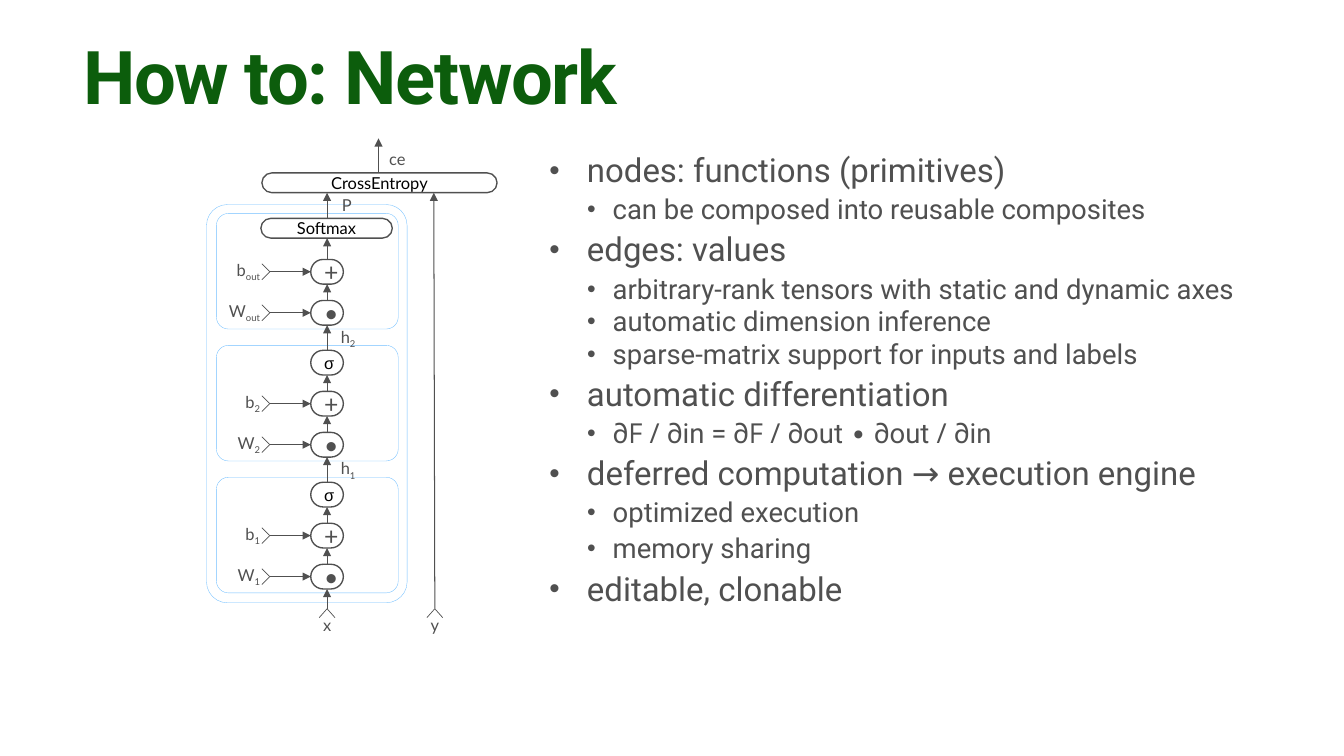
import pptx
import pptx.util
import pptx.dml.color
import pptx.enum.shapes
import pptx.enum.text
import pptx.oxml.ns
import lxml.etree

Inches = pptx.util.Inches
Pt = pptx.util.Pt
Align = pptx.enum.text.PP_ALIGN
Anchor = pptx.enum.text.MSO_ANCHOR
qn = pptx.oxml.ns.qn

GREEN = pptx.dml.color.RGBColor(0x0C, 0x5D, 0x0C)
GRAY = pptx.dml.color.RGBColor(0x50, 0x50, 0x50)
BLUE = pptx.dml.color.RGBColor(0x72, 0xC0, 0xFF)
BLACK = pptx.dml.color.RGBColor(0, 0, 0)
WHITE = pptx.dml.color.RGBColor(255, 255, 255)

deck = pptx.Presentation()
deck.slide_width = Inches(13.6)
deck.slide_height = Inches(7.65)
page = deck.slides.add_slide(deck.slide_layouts[1])


def add_line(x1, y1, x2, y2, width=0.75, arrow=True):
    line = page.shapes.add_connector(
        pptx.enum.shapes.MSO_CONNECTOR.STRAIGHT,
        Inches(x1), Inches(y1), Inches(x2), Inches(y2))
    line.line.color.rgb = GRAY
    line.line.width = Pt(width)
    if arrow:
        lxml.etree.SubElement(line.line._get_or_add_ln(), qn("a:tailEnd"), type="triangle")
    lxml.etree.SubElement(line._element.spPr, qn("a:effectLst"))


def add_box(left, top, width, height, text="", size=12, font="Lato", color=BLACK,
            corner=0.5, edge=GRAY, edge_width=1, filled=True):
    box = page.shapes.add_shape(
        pptx.enum.shapes.MSO_SHAPE.ROUNDED_RECTANGLE,
        Inches(left), Inches(top), Inches(width), Inches(height))
    box.adjustments[0] = corner
    box.shadow.inherit = False
    box.line.color.rgb = edge
    box.line.width = Pt(edge_width)
    if filled:
        box.fill.solid()
        box.fill.fore_color.rgb = WHITE
    else:
        box.fill.background()
    if text:
        box.text_frame.vertical_anchor = Anchor.MIDDLE
        para = box.text_frame.paragraphs[0]
        para.text = text
        para.alignment = Align.CENTER
        para.font.size = Pt(size)
        para.font.name = font
        para.font.color.rgb = color


# Title
title = page.shapes.title
title.left, title.top, title.width, title.height = map(Inches, (0.74, 0.36, 13, 1))
title.text_frame.auto_size = pptx.enum.text.MSO_AUTO_SIZE.NONE
title.text_frame.vertical_anchor = Anchor.TOP
para = title.text_frame.paragraphs[0]
para.text = "How to: Network"
para.alignment = Align.JUSTIFY
para.line_spacing = 0.9
para.font.size = Pt(54)
para.font.name = "Roboto"
para.font.bold = True
para.font.color.rgb = GREEN
para.runs[0]._r.get_or_add_rPr().set("spc", "-100")

# Network frames: one per layer, then the whole model
SPINE, LABEL_X = 3.31, 4.4
LAYER_TOP, LAYER_PITCH, NODE_PITCH = 5.71, 1.335, 0.415
NODE_W, NODE_H = 0.33, 0.25
layers = [("1", "σ"), ("2", "σ"), ("out", "Softmax")]
for index in range(len(layers)):
    add_box(2.19, 4.83 - index * LAYER_PITCH, 1.84, 1.17,
            corner=0.104, edge=BLUE, edge_width=0.25, filled=False)
add_box(2.09, 2.07, 2.03, 4.03, corner=0.104, edge=BLUE, edge_width=0.25, filled=False)

# Layer nodes with their parameter inputs and upward arrows
labels = []
below = 6.16
for index, (subscript, activation) in enumerate(layers):
    top = LAYER_TOP - index * LAYER_PITCH
    for symbol, parameter in (("•", "W"), ("+", "b")):
        middle = top + NODE_H / 2
        add_line(SPINE, below, SPINE, top + NODE_H)
        add_box(SPINE - NODE_W / 2, top, NODE_W, NODE_H, symbol, size=18, color=GRAY)
        add_line(2.73, middle, SPINE - NODE_W / 2, middle)
        for side in (-0.08, 0.08):
            add_line(2.65, middle + side, 2.73, middle, 0.5, arrow=False)
        labels.append((1.94, top, 0.79, parameter, subscript, Align.RIGHT))
        below = top
        top -= NODE_PITCH
    if activation == "Softmax":
        top = 2.21
        add_line(SPINE, below, SPINE, top + 0.2)
        add_box(2.64, top, 1.33, 0.2, activation)
    else:
        add_line(SPINE, below, SPINE, top + NODE_H)
        add_box(SPINE - NODE_W / 2, top, NODE_W, NODE_H, activation, font="Arial")
        labels.append((3.35, top - 0.25, 0.45, "h", subscript, Align.LEFT))
    below = top

# Loss node, its inputs and its output
add_line(SPINE, below, SPINE, 1.95)
add_line(LABEL_X, 6.16, LABEL_X - 0.01, 1.95)
add_box(2.65, 1.75, 2.38, 0.2, "CrossEntropy")
add_line(3.83, 1.75, 3.83, 1.4)
for name, x in (("x", SPINE), ("y", LABEL_X)):
    for side in (-0.08, 0.08):
        add_line(x + side, 6.25, x, 6.16, 0.5, arrow=False)
    labels.append((x - 0.21, 6.21, 0.42, name, "", Align.CENTER))
labels.append((3.36, 1.96, 0.45, "P", "", Align.LEFT))
labels.append((3.84, 1.5, 0.45, "ce", "", Align.LEFT))

# Labels of values and parameters
for left, top, width, name, subscript, alignment in labels:
    label = page.shapes.add_textbox(Inches(left), Inches(top), Inches(width), Inches(0.25))
    label.text_frame.word_wrap = True
    label.text_frame.margin_top = Inches(0.01)
    para = label.text_frame.paragraphs[0]
    para.alignment = alignment
    para.font.size = Pt(12)
    para.font.name = "Lato"
    para.font.color.rgb = GRAY
    para.add_run().text = name
    if subscript:
        span = para.add_run()
        span.text = subscript
        span._r.get_or_add_rPr().set("baseline", "-25000")

# Bullet list: level, space before, spans (every second span in Open Sans)
bullets = [
    (0, 0, ["nodes: functions (primitives)"]),
    (1, 4.7, ["can be composed into reusable composites"]),
    (0, 5.6, ["edges: values"]),
    (1, 4.7, ["arbitrary-rank tensors with static and dynamic axes"]),
    (1, 2, ["automatic dimension inference"]),
    (1, 2, ["sparse-matrix support for inputs and labels"]),
    (0, 5.6, ["automatic differentiation"]),
    (1, 4.7, ["∂", "F / ", "∂in = ∂", "F / ", "∂out ∙ ∂out", " / ", "∂in"]),
    (0, 5.6, ["deferred computation → execution engine"]),
    (1, 4.7, ["optimized execution"]),
    (1, 4.7, ["memory sharing"]),
    (0, 5.6, ["editable, clonable"]),
]
body = page.placeholders[1]
body.left, body.top, body.width, body.height = map(Inches, (5.46, 1.51, 7.27, 4.11))
frame = body.text_frame
frame.auto_size = pptx.enum.text.MSO_AUTO_SIZE.NONE
for index, (level, space, spans) in enumerate(bullets):
    para = frame.add_paragraph() if index else frame.paragraphs[0]
    para.level = level
    para.line_spacing = 0.9
    para.space_before = Pt(space)
    properties = para._p.get_or_add_pPr()
    margin, hanging = ((0.38, 0.38), (0.64, 0.26))[level]
    properties.set("marL", str(Inches(margin)))
    properties.set("indent", str(-Inches(hanging)))
    lxml.etree.SubElement(properties, qn("a:buSzPct"), val="90000")
    lxml.etree.SubElement(properties, qn("a:buFont"), typeface="Arial")
    lxml.etree.SubElement(properties, qn("a:buChar"), char="•")
    para.font.size = Pt((24, 20)[level])
    para.font.name = "Roboto"
    para.font.color.rgb = GRAY
    for position, text in enumerate(spans):
        span = para.add_run()
        span.text = text
        if position % 2:
            span.font.name = "Open Sans"

deck.save("out.pptx")
